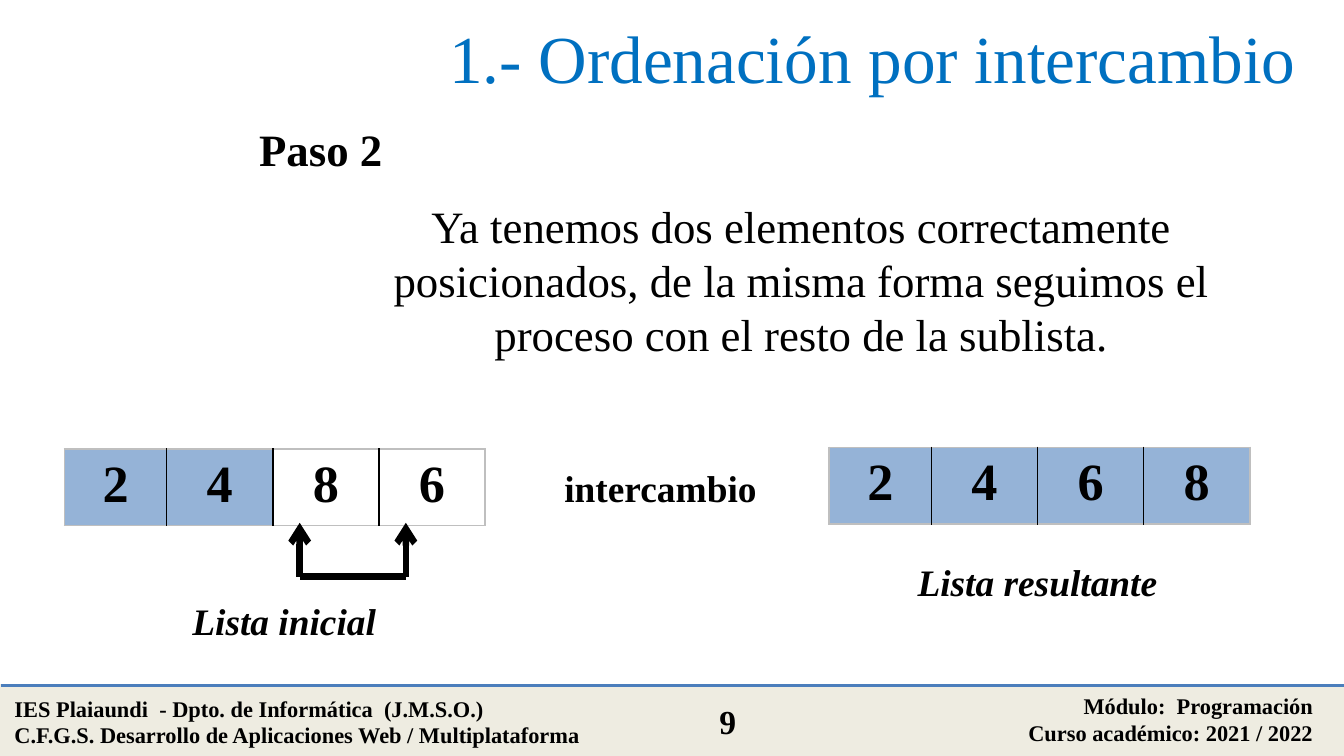
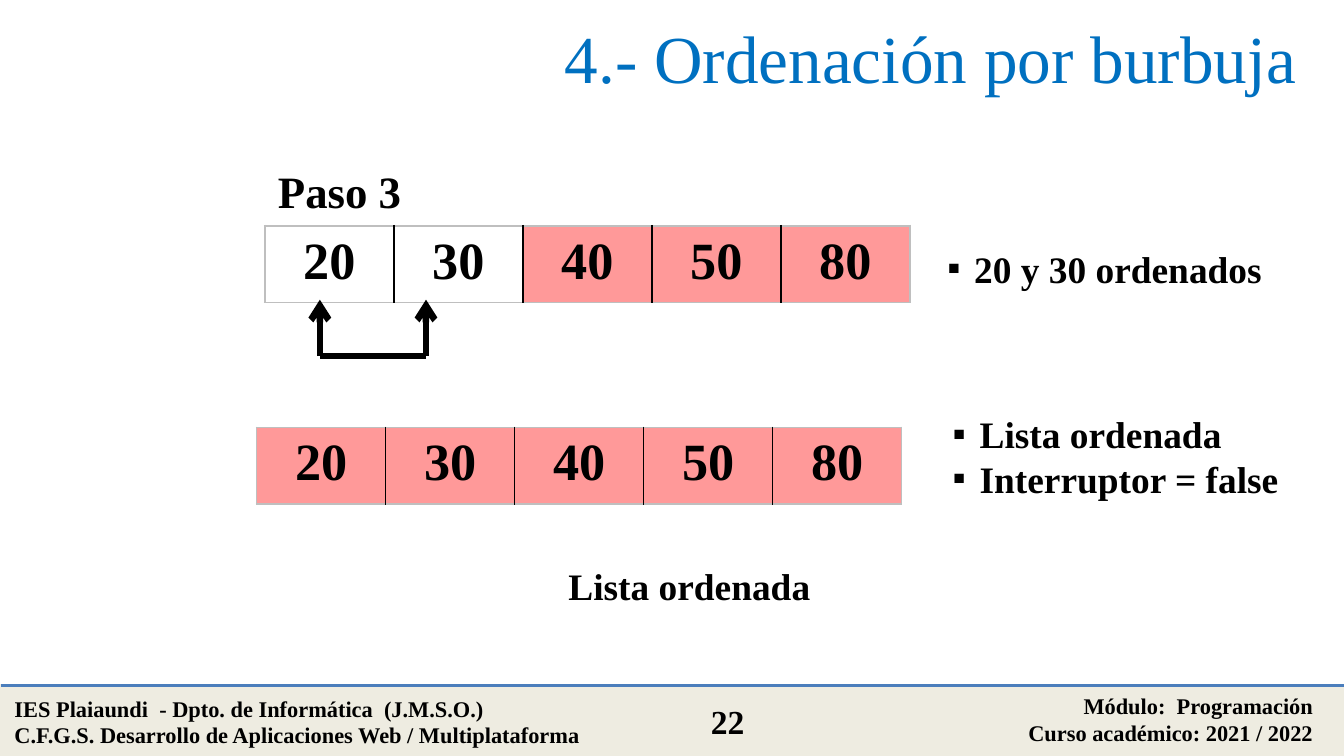
import pptx
import pptx.util
import pptx.dml.color
import pptx.enum.shapes
import pptx.enum.text
import pptx.oxml
import pptx.oxml.ns

Inches, Pt = pptx.util.Inches, pptx.util.Pt
RGB = pptx.dml.color.RGBColor.from_string
ALIGN = pptx.enum.text.PP_ALIGN
STRAIGHT = pptx.enum.shapes.MSO_CONNECTOR.STRAIGHT
A_NS = pptx.oxml.ns.nsdecls("a")

FONT = "Times New Roman"
COLORS = {
    "text": "000000",
    "title": "0070C0",
    "band": "EEECE1",
    "rule": "4B7EBC",
    "edge": "BFBFBF",
    "blue": "95B3D7",
    "red": "FF9999",
}


def write(frame, text, size, align=ALIGN.CENTER, bold=True, italic=False,
          color="text", bullet=False):
    """Fill a text frame, one paragraph per line, in the deck's font."""
    frame.word_wrap = True
    frame.text = text
    for paragraph in frame.paragraphs:
        paragraph.alignment = align
        if bullet:
            properties = paragraph._p.get_or_add_pPr()
            properties.set("marL", str(Inches(0.2)))
            properties.set("indent", str(Inches(-0.2)))
            for mark in (f'<a:buFont {A_NS} typeface="{FONT}"/>',
                         f'<a:buChar {A_NS} char="▪"/>'):
                properties.append(pptx.oxml.parse_xml(mark))
        for run in paragraph.runs:
            run.font.name, run.font.size = FONT, Pt(size)
            run.font.bold, run.font.italic = bold, italic
            run.font.color.rgb = RGB(COLORS[color])


def draw_line(slide, start, end, color, width, arrow=False):
    line = slide.shapes.add_connector(STRAIGHT, *map(Inches, start + end))
    line.line.color.rgb = RGB(COLORS[color])
    line.line.width = Pt(width)
    if arrow:
        line.line._get_or_add_ln().append(
            pptx.oxml.parse_xml(f'<a:tailEnd {A_NS} type="arrow"/>'))
    line._element.spPr.append(pptx.oxml.parse_xml(f"<a:effectLst {A_NS}/>"))


# Texts: (left, top, width, height), wording, size, format, top inset
# Lists: left, top, column widths, values, colour, sorted positions
# Swap: x of both arrows, y of the bar, y of the tips
four_columns = [0.76] + [0.79] * 3
five_columns = [0.96] * 5
steps = [
    {
        "title": "1.- Ordenación por intercambio ",
        "number": "9",
        "texts": [
            ((1.83, 0.86, 2.2, 0.5), "Paso 2", 24, {"align": ALIGN.JUSTIFY}, 0.05),
            ((2.27, 1.43, 7.38, 1.31),
             "Ya tenemos dos elementos correctamente posicionados, de la misma "
             "forma seguimos el proceso con el resto de la sublista.",
             24, {"bold": False}, 0.05),
            ((0.54, 4.4, 3.15, 0.44), "Lista inicial", 20, {"italic": True}, 0.05),
            ((6, 4.11, 3.44, 0.44), "Lista resultante", 20, {"italic": True}, 0.05),
            ((3.89, 3.38, 2.05, 0.47), "intercambio", 20, {}, 0.08),
        ],
        "lists": [
            (0.48, 3.34, four_columns, [2, 4, 8, 6], "blue", [0, 1]),
            (6.17, 3.33, four_columns, [2, 4, 6, 8], "blue", range(4)),
        ],
        "swap": (2.23, 3.02, 4.29, 3.89),
    },
    {
        "title": "4.- Ordenación por burbuja ",
        "number": "22",
        "texts": [
            ((1.97, 1.17, 1.34, 0.5), "Paso 3", 24, {"align": ALIGN.JUSTIFY}, 0.05),
            ((6.95, 1.75, 2.83, 0.47), "20 y 30 ordenados", 20,
             {"align": ALIGN.LEFT, "bullet": True}, 0.08),
            ((6.99, 2.98, 2.71, 0.8), "Lista ordenada\nInterruptor = false", 20,
             {"align": ALIGN.LEFT, "bullet": True}, 0.08),
            ((3.16, 4.11, 3.94, 0.47), "Lista ordenada", 20, {}, 0.08),
        ],
        "lists": [
            (1.97, 1.68, five_columns, [20, 30, 40, 50, 80], "red", [2, 3, 4]),
            (1.91, 3.18, five_columns, [20, 30, 40, 50, 80], "red", range(5)),
        ],
        "swap": (2.38, 3.17, 2.65, 2.23),
    },
]
footer = [
    ((0.01, 5.12, 4.66, 0.5),
     "IES Plaiaundi  - Dpto. de Informática  (J.M.S.O.)\n"
     "C.F.G.S. Desarrollo de Aplicaciones Web / Multiplataforma",
     12, {"align": ALIGN.LEFT}, 0.05),
    ((5.87, 5.1, 4, 0.5), "Módulo:  Programación\nCurso académico: 2021 / 2022",
     12, {"align": ALIGN.RIGHT}, 0.05),
]

deck = pptx.Presentation()
deck.slide_width, deck.slide_height = Inches(10), Inches(10 * 9 / 16)

for step in steps:
    slide = deck.slides.add_slide(deck.slide_layouts[5])

    band = slide.shapes.add_shape(pptx.enum.shapes.MSO_SHAPE.RECTANGLE,
                                  *map(Inches, (0.01, 5.1, 10, 0.52)))
    band.shadow.inherit = False
    band.fill.solid()
    band.fill.fore_color.rgb = RGB(COLORS["band"])
    band.line.color.rgb = RGB(COLORS["band"])
    band.line.width = Pt(2)
    draw_line(slide, (0.01, 5.1), (10.01, 5.1), "rule", 2)

    title = slide.shapes.title
    title.left, title.top, title.width, title.height = map(Inches, (0.01, 0, 9.86, 0.84))
    title.text_frame.auto_size = pptx.enum.text.MSO_AUTO_SIZE.NONE
    title.text_frame.vertical_anchor = pptx.enum.text.MSO_ANCHOR.MIDDLE
    write(title.text_frame, step["title"], 36, ALIGN.RIGHT, bold=False, color="title")

    page_number = ((5.01, 5.17, 0.81, 0.4), step["number"], 18, {}, 0.05)
    for place, wording, size, style, top_inset in footer + [page_number] + step["texts"]:
        frame = slide.shapes.add_textbox(*map(Inches, place)).text_frame
        frame.margin_top = Inches(top_inset)
        write(frame, wording, size, **style)

    for left, top, widths, values, color, ordered in step["lists"]:
        number_list = slide.shapes.add_table(
            1, len(values), Inches(left), Inches(top),
            Inches(sum(widths)), Inches(0.57)).table
        number_list.first_row = number_list.horz_banding = False
        last = len(values) - 1
        for position, value in enumerate(values):
            number_list.columns[position].width = Inches(widths[position])
            cell = number_list.cell(0, position)
            write(cell.text_frame, str(value), 28)
            borders = {
                "lnL": "text" if position > 0 else "edge",
                "lnR": "text" if position < last else "edge",
                "lnT": "edge",
                "lnB": "edge",
            }
            for side, border_color in borders.items():
                cell._tc.get_or_add_tcPr().append(pptx.oxml.parse_xml(
                    f'<a:{side} {A_NS} w="{Pt(1)}"><a:solidFill>'
                    f'<a:srgbClr val="{COLORS[border_color]}"/></a:solidFill></a:{side}>'))
            if position in ordered:
                cell.fill.solid()
                cell.fill.fore_color.rgb = RGB(COLORS[color])
            else:
                cell.fill.background()

    first_x, second_x, bar_y, tip_y = step["swap"]
    for x in (first_x, second_x):
        draw_line(slide, (x, bar_y), (x, tip_y), "text", 3.5, arrow=True)
    draw_line(slide, (first_x, bar_y), (second_x, bar_y), "text", 3.5)

deck.save("out.pptx")
